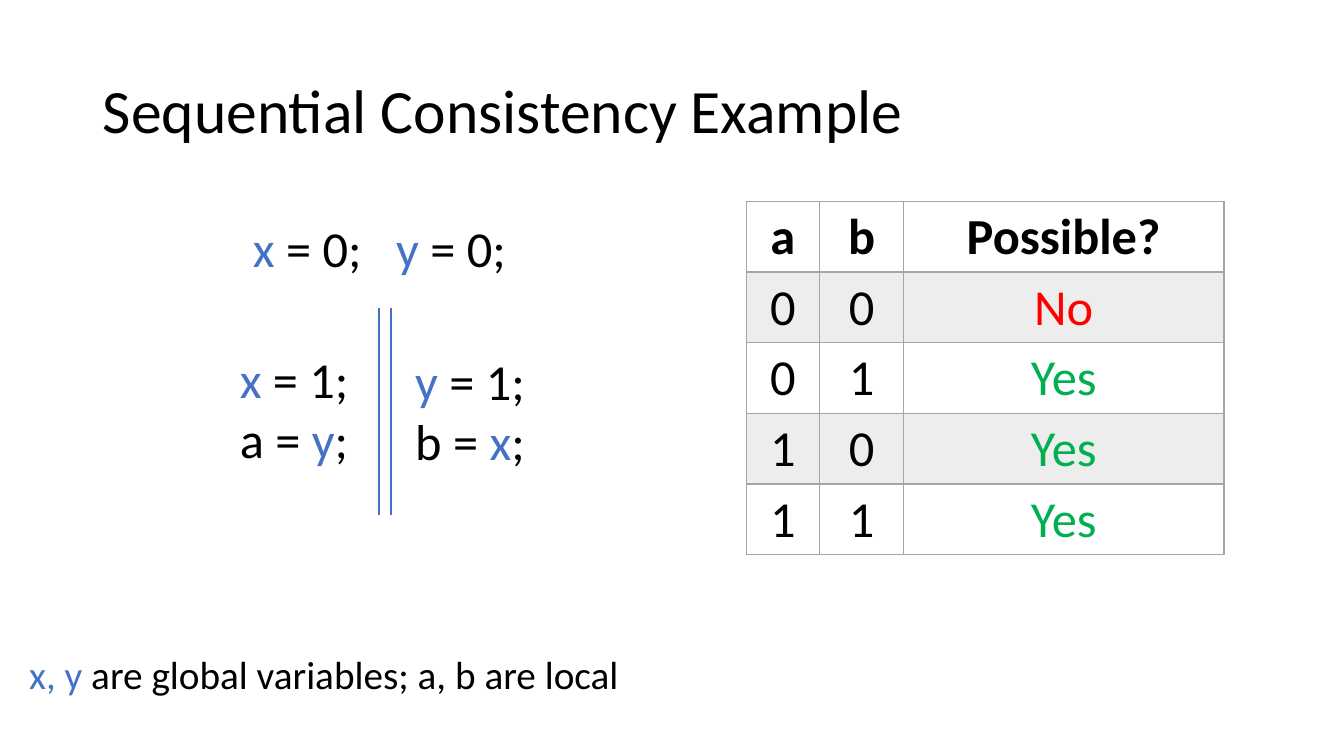
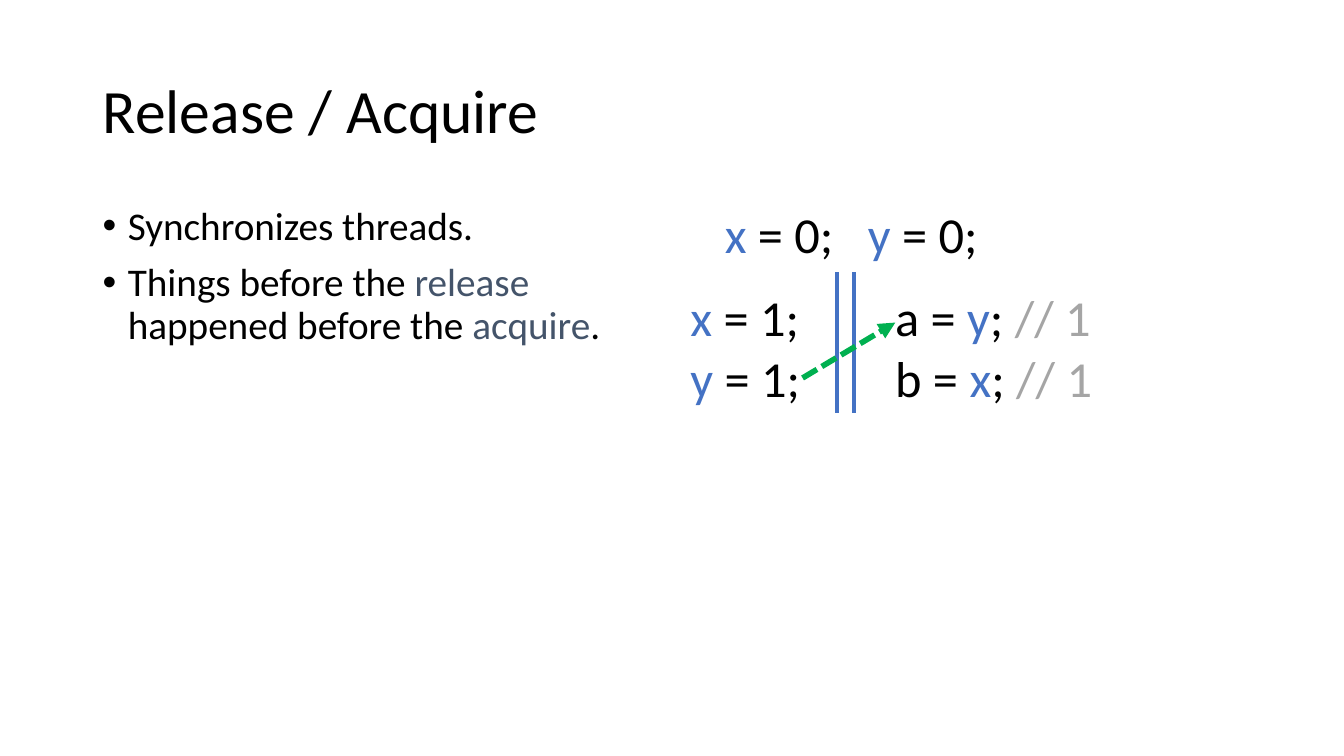
from lxml import etree
from pptx import Presentation
from pptx.dml.color import RGBColor
from pptx.enum.dml import MSO_LINE
from pptx.enum.shapes import MSO_CONNECTOR
from pptx.enum.text import MSO_ANCHOR, MSO_AUTO_SIZE, PP_ALIGN
from pptx.oxml.ns import qn
from pptx.util import Inches, Pt

FONT = "Calibri"
BLACK, BLUE, GRAY, SLATE = "000000", "4472C4", "A5A5A5", "44546A"
RED, GREEN, STRIPE, WHITE = "FF0000", "00B050", "EDEDED", "FFFFFF"
X, Y, ONE = ("x", BLUE), ("y", BLUE), ("// 1", GRAY)

INITIAL = [[X, " = 0;\t", Y, " = 0;"]]
INITIAL_TAB = 1.42

CONSISTENCY = {
    "title": "Sequential Consistency Example",
    "code": [
        ((2.41, 2.1, 2.91, 0.71), INITIAL),
        ((2.28, 3.4, 1.3, 1.31), [[X, " = 1;"], ["a = ", Y, ";"]]),
        ((4.02, 3.42, 1.3, 1.31), [[Y, " = 1;"], ["b = ", X, ";"]]),
    ],
    "bars": {"lefts": (3.76, 3.88), "top": 3.06, "bottom": 5.11, "width": 1.5},
}
SCOPE_NOTE = [[("x, y", BLUE), " are global variables; a, b are local"]]
OUTCOMES = [
    ("a", "b", "Possible?"),
    ("0", "0", "No"),
    ("0", "1", "Yes"),
    ("1", "0", "Yes"),
    ("1", "1", "Yes"),
]
OUTCOME_WIDTHS = (0.73, 0.83, 3.18)
OUTCOME_ROW = 0.7
ANSWER_COLORS = {"No": RED, "Yes": GREEN}

RELEASE = {
    "title": "Release / Acquire",
    "code": [
        ((7.09, 1.97, 2.76, 0.71), INITIAL),
        ((6.75, 2.79, 1.78, 1.31), [[X, " = 1;"], [Y, " = 1;"]]),
        ((8.78, 2.79, 2.46, 1.31),
         [["a = ", Y, "; ", ONE], ["b = ", X, "; ", ONE]]),
    ],
    "bars": {"lefts": (8.3, 8.47), "top": 2.7, "bottom": 4.1, "width": 3},
}
RELEASE_POINTS = [
    ["Synchronizes threads."],
    ["Things before the ", ("release", SLATE), " happened before the ",
     ("acquire", SLATE), "."],
]


def color(value):
    return RGBColor.from_string(value)


def add_child(parent, tag, **attributes):
    return etree.SubElement(parent, qn(tag), attributes)


def write(frame, paragraphs, size=36, bold=False, fill=BLACK, align=PP_ALIGN.LEFT,
          spacing=None, before=0, bullet=False, tab=None):
    frame.word_wrap = True
    for index, spans in enumerate(paragraphs):
        para = frame.add_paragraph() if index else frame.paragraphs[0]
        para.alignment = align
        para.space_before = Pt(before)
        if spacing:
            para.line_spacing = spacing
        properties = para._p.get_or_add_pPr()
        if bullet:
            properties.set("marL", str(Inches(0.25)))
            properties.set("indent", str(-Inches(0.25)))
            add_child(properties, "a:buFont", typeface="Arial")
            add_child(properties, "a:buChar", char="•")
        if tab:
            stops = add_child(properties, "a:tabLst")
            add_child(stops, "a:tab", pos=str(Inches(tab)), algn="l")
        for item in spans:
            text, tint = (item, fill) if isinstance(item, str) else item
            span = para.add_run()
            span.text = text
            span.font.name = FONT
            span.font.size = Pt(size)
            span.font.bold = bold
            span.font.color.rgb = color(tint)


def add_text(page, place, paragraphs, **style):
    box = page.shapes.add_textbox(*map(Inches, place))
    write(box.text_frame, paragraphs, **style)


def add_line(page, start, end, tint, width):
    line = page.shapes.add_connector(
        MSO_CONNECTOR.STRAIGHT, *map(Inches, (*start, *end)))
    line.line.color.rgb = color(tint)
    line.line.width = Pt(width)
    add_child(line._element.spPr, "a:effectLst")
    return line


def add_arrow(page, start, end):
    arrow = add_line(page, start, end, GREEN, 4)
    arrow.line.dash_style = MSO_LINE.SQUARE_DOT
    add_child(arrow.line._get_or_add_ln(), "a:tailEnd", type="triangle")


def add_example_page(deck, example):
    page = deck.slides.add_slide(deck.slide_layouts[5])
    title = page.shapes.title
    title.left, title.top, title.width, title.height = map(
        Inches, (0.92, 0.4, 11.5, 1.45))
    frame = title.text_frame
    frame.auto_size = MSO_AUTO_SIZE.NONE
    frame.vertical_anchor = MSO_ANCHOR.MIDDLE
    write(frame, [[example["title"]]], size=44, spacing=0.9)
    for place, code in example["code"]:
        add_text(page, place, code, tab=INITIAL_TAB if code is INITIAL else None)
    bars = example["bars"]
    for left in bars["lefts"]:
        add_line(page, (left, bars["top"]), (left, bars["bottom"]),
                 BLUE, bars["width"])
    return page


def border_cell(cell, bottom):
    properties = cell._tc.get_or_add_tcPr()
    widths = {"a:lnL": 1, "a:lnR": 1, "a:lnT": 1, "a:lnB": bottom}
    for position, (tag, width) in enumerate(widths.items()):
        edge = etree.Element(qn(tag), w=str(Pt(width)))
        add_child(add_child(edge, "a:solidFill"), "a:srgbClr", val=GRAY)
        properties.insert(position, edge)


def add_outcomes(page, left, top):
    table = page.shapes.add_table(
        len(OUTCOMES), len(OUTCOME_WIDTHS), Inches(left), Inches(top),
        Inches(sum(OUTCOME_WIDTHS)), Inches(OUTCOME_ROW * len(OUTCOMES))).table
    for column, width in zip(table.columns, OUTCOME_WIDTHS):
        column.width = Inches(width)
    for row, values in enumerate(OUTCOMES):
        for column, value in enumerate(values):
            cell = table.cell(row, column)
            cell.fill.solid()
            cell.fill.fore_color.rgb = color(STRIPE if row % 2 else WHITE)
            border_cell(cell, bottom=1 if row else 2)
            write(cell.text_frame, [[value]], bold=row == 0,
                  fill=ANSWER_COLORS.get(value, BLACK), align=PP_ALIGN.CENTER)


def main():
    deck = Presentation()
    deck.slide_width, deck.slide_height = Inches(13.33), Inches(7.5)

    page = add_example_page(deck, CONSISTENCY)
    add_text(page, (0.19, 6.46, 7.35, 0.53), SCOPE_NOTE,
             size=28, spacing=0.9, before=10)
    add_outcomes(page, 7.4, 2)

    page = add_example_page(deck, RELEASE)
    add_text(page, (0.92, 2, 5.67, 4.76), RELEASE_POINTS,
             size=28, spacing=0.9, before=10, bullet=True)
    add_arrow(page, (7.96, 3.75), (8.88, 3.2))

    deck.save("out.pptx")


if __name__ == "__main__":
    main()
